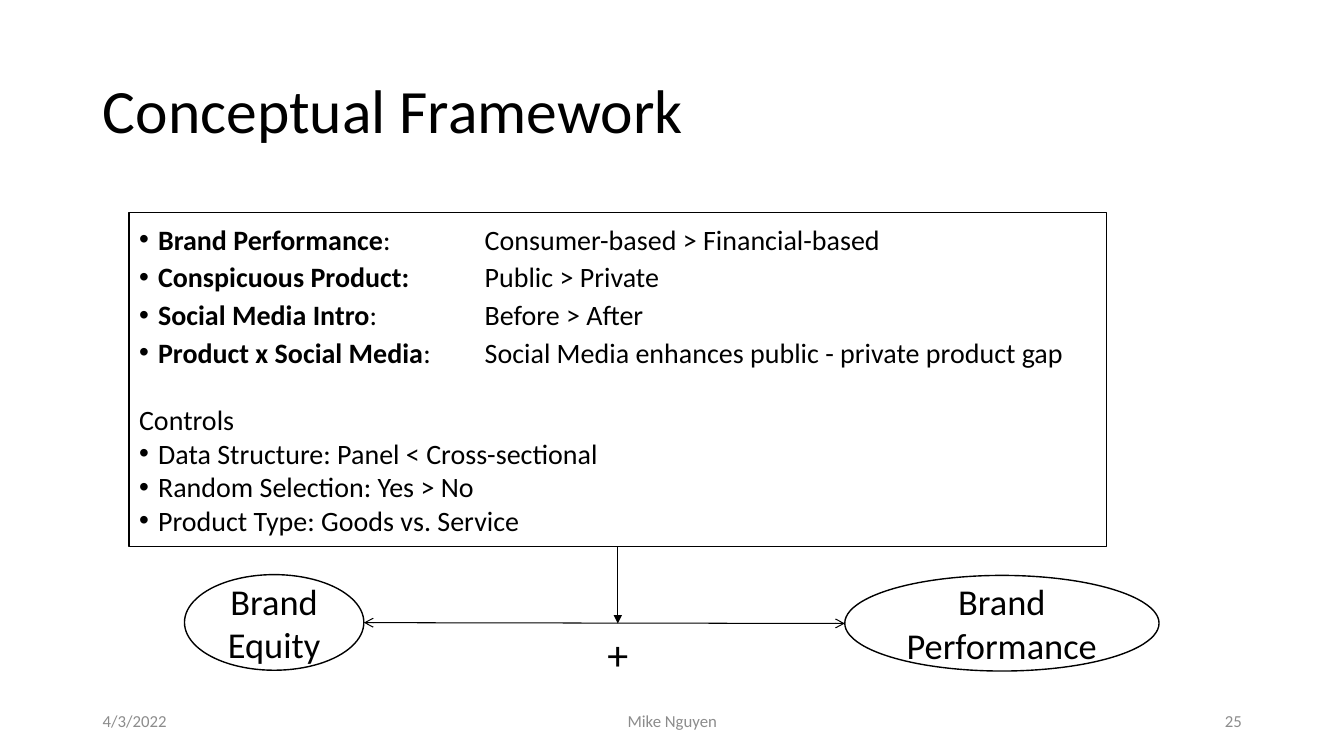
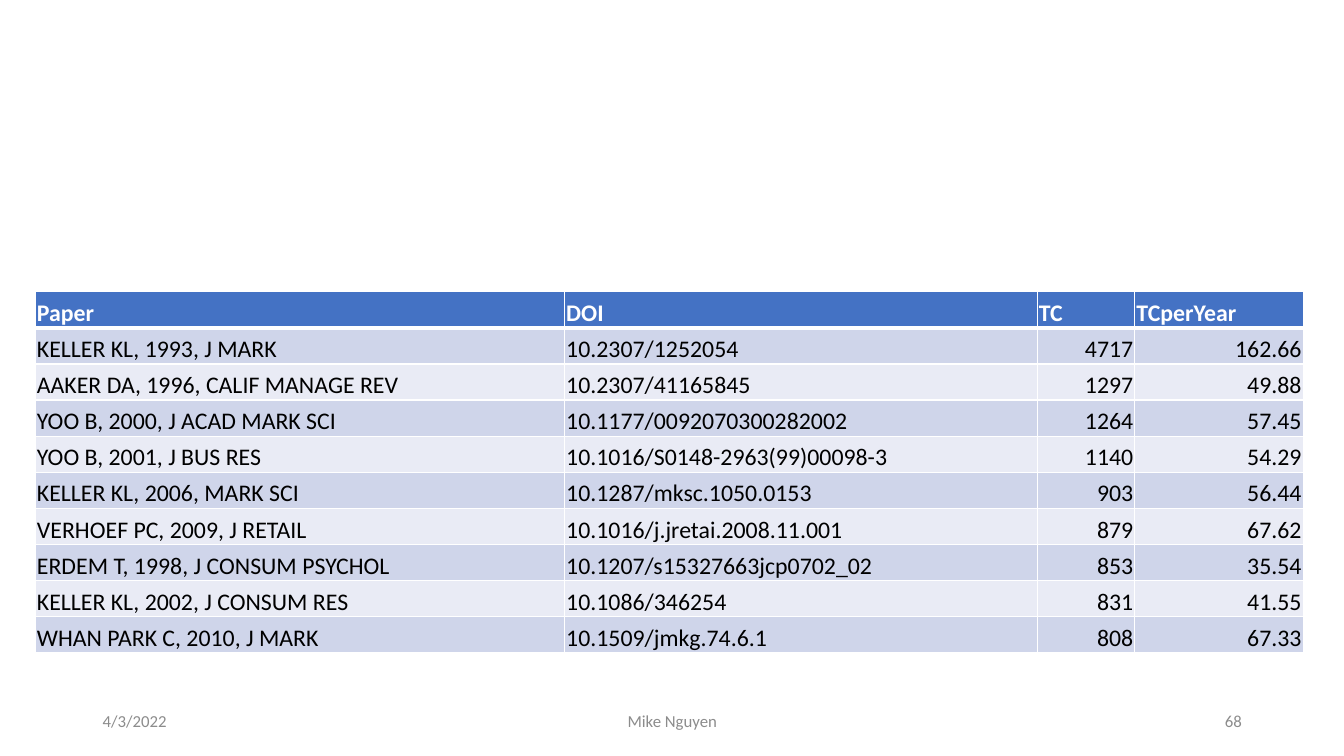
from lxml.etree import SubElement
from pptx import Presentation
from pptx.dml.color import RGBColor
from pptx.enum.shapes import MSO_CONNECTOR as Connector, MSO_SHAPE as Shape
from pptx.enum.text import MSO_ANCHOR as Anchor, MSO_AUTO_SIZE as AutoSize, PP_ALIGN as Align
from pptx.oxml.ns import qn
from pptx.util import Cm, Pt

INDENT = 0.48
TAB_STOP = 8.71


def color(code):
    return RGBColor.from_string(code)


def write(paragraph, text, size=20, ink="000000", bold=False, align=Align.LEFT):
    """Add one formatted run to a paragraph."""
    paragraph.alignment = align
    run = paragraph.add_run()
    run.text = text
    run.font.name = "Calibri"
    run.font.size = Pt(size)
    run.font.bold = bold
    run.font.color.rgb = color(ink)


def set_bullet(paragraph, bulleted):
    """Give a paragraph a hanging bullet, or none, and the shared tab stop."""
    props = paragraph._p.get_or_add_pPr()
    indent = INDENT if bulleted else 0
    props.set("marL", str(Cm(indent)))
    props.set("indent", str(-Cm(indent)))
    if bulleted:
        SubElement(props, qn("a:buFont"), typeface="Arial")
        SubElement(props, qn("a:buChar"), char="•")
    else:
        SubElement(props, qn("a:buNone"))
    tabs = SubElement(props, qn("a:tabLst"))
    SubElement(tabs, qn("a:tab"), pos=str(Cm(TAB_STOP)), algn="l")


def set_border(cell, side, width, ink):
    line = SubElement(cell._tc.get_or_add_tcPr(), qn(f"a:ln{side}"), w=str(Pt(width)))
    fill = SubElement(line, qn("a:solidFill"))
    SubElement(fill, qn("a:srgbClr"), val=ink)


class Deck:
    """The shared style and the slide being built."""
    BLACK, WHITE, GREY = "000000", "FFFFFF", "8C8C8C"
    HEADER, BANDS = "4472C4", ("CFD5EA", "E9EBF5")
    TITLE_AND_BODY, BLANK = 1, 6

    def __init__(self):
        self.prs = Presentation()
        self.prs.slide_width, self.prs.slide_height = Cm(33.87), Cm(19.05)
        self.slide = None

    def new_slide(self, layout, number):
        self.slide = self.prs.slides.add_slide(self.prs.slide_layouts[layout])
        # Footer: date, author, page number
        for text, left, width, align in (
            ("4/3/2022", 2.34, 7.62, Align.LEFT),
            ("Mike Nguyen", 11.23, 11.43, Align.CENTER),
            (str(number), 23.93, 7.62, Align.RIGHT),
        ):
            self.label(text, (left, 17.65, width, 1.02), anchor=Anchor.MIDDLE,
                       size=12, ink=self.GREY, align=align)

    def place(self, item, area):
        item.left, item.top, item.width, item.height = map(Cm, area)
        frame = item.text_frame
        frame.word_wrap = True
        frame.auto_size = AutoSize.NONE
        frame.vertical_anchor = Anchor.MIDDLE
        return frame

    def outline(self, item):
        item.fill.solid()
        item.fill.fore_color.rgb = color(self.WHITE)
        item.line.color.rgb = color(self.BLACK)
        item.line.width = Pt(1)

    def title(self, text):
        heading = self.place(self.slide.shapes.title, (2.34, 1.02, 29.21, 3.68)).paragraphs[0]
        heading.line_spacing = 0.9
        write(heading, text, size=44)

    def label(self, text, area, anchor=Anchor.TOP, **fmt):
        frame = self.slide.shapes.add_textbox(*map(Cm, area)).text_frame
        frame.word_wrap = True
        frame.vertical_anchor = anchor
        write(frame.paragraphs[0], text, **fmt)

    def boxed_list(self, entries, area):
        """Entries: (bold part, plain part, bulleted, points before, points after)."""
        body = self.slide.placeholders[1]
        frame = self.place(body, area)
        self.outline(body)
        for i, (strong, plain, bulleted, before, after) in enumerate(entries):
            paragraph = frame.add_paragraph() if i else frame.paragraphs[0]
            set_bullet(paragraph, bulleted)
            paragraph.space_before, paragraph.space_after = Pt(before), Pt(after)
            if strong:
                write(paragraph, strong, bold=True)
            write(paragraph, plain)

    def ellipse(self, text, area):
        construct = self.slide.shapes.add_shape(Shape.OVAL, *map(Cm, area))
        construct.shadow.inherit = False
        self.outline(construct)
        frame = self.place(construct, area)
        write(frame.paragraphs[0], text, size=26, align=Align.CENTER)

    def arrow(self, start, end, width, **ends):
        link = self.slide.shapes.add_connector(Connector.STRAIGHT, *map(Cm, start + end))
        link.line.color.rgb = color(self.BLACK)
        link.line.width = Pt(width)
        line = link.line._get_or_add_ln()
        for tag, kind in ends.items():
            SubElement(line, qn(f"a:{tag}"), type=kind)
        SubElement(link._element.spPr, qn("a:effectLst"))

    def table(self, rows, left, top, widths, row_height):
        grid = self.slide.shapes.add_table(
            len(rows), len(widths), Cm(left), Cm(top),
            Cm(sum(widths)), Cm(row_height * len(rows))).table
        for column, width in zip(grid.columns, widths):
            column.width = Cm(width)
        for r, values in enumerate(rows):
            grid.rows[r].height = Cm(row_height)
            header = r == 0
            for c, value in enumerate(values):
                cell = grid.cell(r, c)
                cell.margin_left = cell.margin_right = cell.margin_top = Cm(0.04)
                cell.margin_bottom = 0
                cell.vertical_anchor = Anchor.BOTTOM
                # A thick rule separates the header from the rows
                for side, width in zip("LRTB", (1, 1, 3 if r == 1 else 1, 3 if header else 1)):
                    set_border(cell, side, width, self.WHITE)
                cell.fill.solid()
                cell.fill.fore_color.rgb = color(self.HEADER if header else self.BANDS[(r - 1) % 2])
                write(cell.text_frame.paragraphs[0], value, size=17, bold=header,
                      ink=self.WHITE if header else self.BLACK,
                      align=Align.RIGHT if c >= 2 and not header else Align.LEFT)


def framework_slide(deck):
    deck.new_slide(deck.TITLE_AND_BODY, 25)
    deck.title("Conceptual Framework")

    # Moderators and controls
    deck.boxed_list([
        ("Brand Performance", ":\tConsumer-based > Financial-based", True, 0, 3),
        ("Conspicuous Product:", "\tPublic > Private", True, 0, 3),
        ("Social Media Intro", ":\tBefore > After", True, 0, 3),
        ("Product x Social Media", ":\tSocial Media enhances public - private product gap", True, 0, 0),
        ("", "Controls", False, 24, 0),
        ("", "Data Structure: Panel < Cross-sectional", True, 0, 0),
        ("", "Random Selection: Yes > No", True, 0, 0),
        ("", "Product Type: Goods vs. Service", True, 0, 0),
    ], (3.25, 5.36, 24.64, 8.41))

    # Constructs and their relationship
    deck.ellipse("Brand Equity", (4.65, 14.48, 4.52, 2.41))
    deck.ellipse("Brand Performance", (21.29, 14.5, 7.92, 2.41))
    deck.arrow((9.17, 15.69), (21.29, 15.71), 0.75, headEnd="arrow", tailEnd="arrow")
    deck.arrow((15.57, 13.77), (15.57, 15.71), 0.5, tailEnd="triangle")
    deck.label("+", (14.6, 15.72, 1.94, 1.54), size=30, align=Align.CENTER)


def citations_slide(deck):
    deck.new_slide(deck.BLANK, 68)
    deck.table([
        ("Paper", "DOI", "TC", "TCperYear"),
        ("KELLER KL, 1993, J MARK", "10.2307/1252054", "4717", "162.66"),
        ("AAKER DA, 1996, CALIF MANAGE REV", "10.2307/41165845", "1297", "49.88"),
        ("YOO B, 2000, J ACAD MARK SCI", "10.1177/0092070300282002", "1264", "57.45"),
        ("YOO B, 2001, J BUS RES", "10.1016/S0148-2963(99)00098-3", "1140", "54.29"),
        ("KELLER KL, 2006, MARK SCI", "10.1287/mksc.1050.0153", "903", "56.44"),
        ("VERHOEF PC, 2009, J RETAIL", "10.1016/j.jretai.2008.11.001", "879", "67.62"),
        ("ERDEM T, 1998, J CONSUM PSYCHOL", "10.1207/s15327663jcp0702_02", "853", "35.54"),
        ("KELLER KL, 2002, J CONSUM RES", "10.1086/346254", "831", "41.55"),
        ("WHAN PARK C, 2010, J MARK", "10.1509/jmkg.74.6.1", "808", "67.33"),
    ], left=0.89, top=7.35, widths=(13.34, 11.91, 2.46, 4.24), row_height=0.91)


def main():
    deck = Deck()
    framework_slide(deck)
    citations_slide(deck)
    deck.prs.save("out.pptx")


if __name__ == "__main__":
    main()
